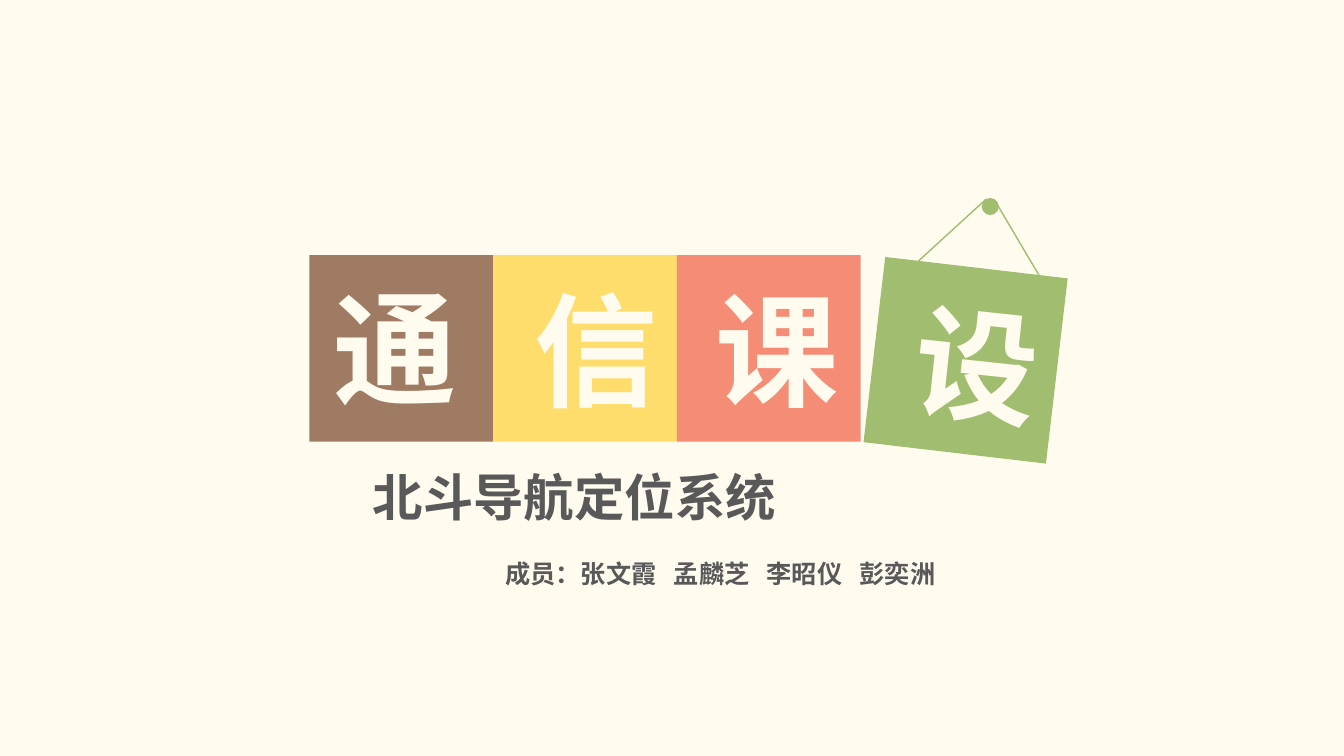
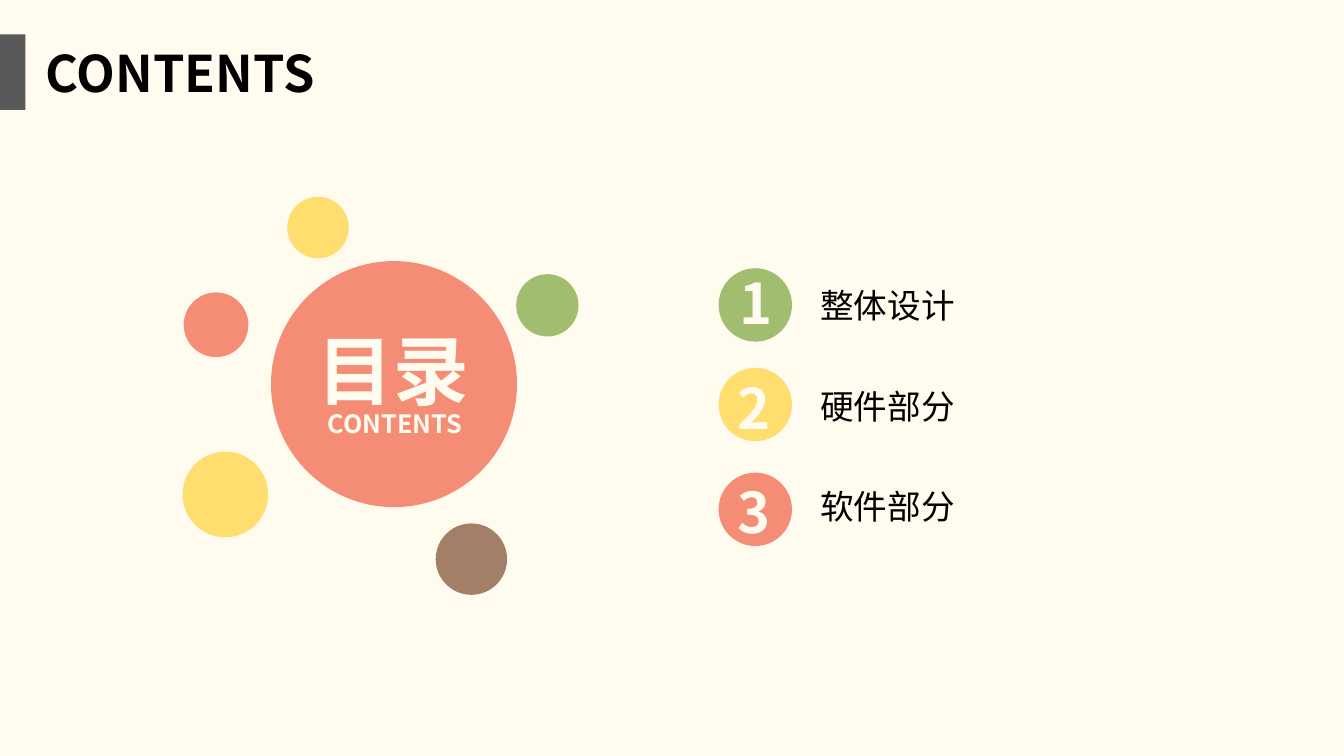
from copy import deepcopy

from lxml import etree
from pptx import Presentation
from pptx.dml.color import RGBColor
from pptx.enum.shapes import MSO_SHAPE
from pptx.enum.text import MSO_ANCHOR, MSO_AUTO_SIZE, PP_ALIGN
from pptx.oxml.ns import qn
from pptx.util import Cm, Pt

RECTANGLE = MSO_SHAPE.RECTANGLE
OVAL = MSO_SHAPE.OVAL
TOP = MSO_ANCHOR.TOP
NO_AUTOFIT = MSO_AUTO_SIZE.NONE
LEFT = PP_ALIGN.LEFT

FONT = "Noto Sans CJK SC"
CREAM, GREY, BLACK = "FFFBEF", "595959", "000000"
BROWN, YELLOW, CORAL, GREEN = "A07B63", "FFDD6C", "F58D76", "A1BD70"
LIGHT_YELLOW, LIGHT_BROWN = "FFDE6F", "A37F67"
color = RGBColor.from_string


def add_block(page, kind, left, top, width, height, fill):
    block = page.shapes.add_shape(kind, Cm(left), Cm(top), Cm(width), Cm(height))
    block.shadow.inherit = False
    block.fill.solid()
    block.fill.fore_color.rgb = color(fill)
    block.line.fill.background()
    return block


def write(box, place, text, size, ink, bold=True, gap=0):
    box.left, box.top, box.width, box.height = [Cm(length) for length in place]
    frame = box.text_frame
    frame.text = text
    frame.word_wrap = True
    frame.auto_size = NO_AUTOFIT
    frame.vertical_anchor = TOP
    for index, para in enumerate(frame.paragraphs):
        para.alignment = LEFT
        para.line_spacing = Pt(size * 1.2)
        para.space_before = Pt(gap if index else 0)
        for span in para.runs:
            span.font.size = Pt(size)
            span.font.bold = bold
            span.font.color.rgb = color(ink)
            span.font.name = FONT
            east_asian = etree.SubElement(span._r.get_or_add_rPr(), qn("a:ea"))
            east_asian.set("typeface", FONT)
    return box


deck = Presentation()
deck.slide_width, deck.slide_height = Cm(33.87), Cm(19.05)
background = deck.slide_master.background.fill
background.solid()
background.fore_color.rgb = color(CREAM)

page = deck.slides.add_slide(deck.slide_layouts[0])
write(page.shapes.title, (9.14, 11.63, 11.5, 1.8), "北斗导航定位系统", 36, GREY)
members = write(page.placeholders[1], (12.48, 13.94, 13, 1.02), "成员：张文霞", 18, GREY)
para = members.text_frame.paragraphs[0]
first_span = para.runs[0]._r
for name in ("孟麟芝", "李昭仪", "彭奕洲"):
    for text, spacing in ((" ", 830), (name, 0)):
        para._p.append(deepcopy(first_span))
        span = para.runs[-1]
        span.text = text
        span._r.get_or_add_rPr().set("spc", str(spacing))

TILE_WIDTH, TILE_HEIGHT = 4.63, 4.7
for column, fill in enumerate((BROWN, YELLOW, CORAL)):
    add_block(page, RECTANGLE, 7.8 + column * TILE_WIDTH, 6.43, TILE_WIDTH, TILE_HEIGHT, fill)
hanging_tile = add_block(page, RECTANGLE, 22.02, 6.73, TILE_WIDTH, TILE_HEIGHT, GREEN)
hanging_tile.rotation = 6.7

for letter, left, top, angle in (
    ("通", 8.15, 6.73, 0),
    ("信", 13.21, 6.78, 0),
    ("课", 17.78, 6.78, 0),
    ("设", 22.83, 7.16, 6.2),
):
    box = page.shapes.add_textbox(0, 0, 0, 0)
    write(box, (left, top, 3.66, 4.01), letter, 88, CREAM)
    box.rotation = angle

add_block(page, OVAL, 24.74, 4.99, 0.43, 0.43, GREEN)
builder = page.shapes.build_freeform(Cm(22.73), Cm(6.96))
builder.add_line_segments(
    [(Cm(x), Cm(y)) for x, y in ((24.84, 5.03), (25.07, 5.05), (26.47, 7.42))], close=False)
string = builder.convert_to_shape()
string.shadow.inherit = False
string.fill.background()
string.line.color.rgb = color(GREEN)
string.line.width = Pt(1)

page = deck.slides.add_slide(deck.slide_layouts[1])
add_block(page, RECTANGLE, 0, 0.87, 0.64, 1.9, GREY)
write(page.shapes.title, (0.89, 0.94, 8, 1.8), "CONTENTS", 36, BLACK)
topics = write(page.placeholders[1], (20.42, 7.06, 6, 6.6),
               "整体设计\n硬件部分\n软件部分", 24, BLACK, bold=False, gap=43)
for para in topics.text_frame.paragraphs:
    properties = para._p.get_or_add_pPr()
    properties.set("marL", "0")
    properties.set("indent", "0")
    etree.SubElement(properties, qn("a:buNone"))

for number, circle_top, left, top, fill in (
    ("1", 6.76, 18.39, 6.63, GREEN),
    ("2", 9.27, 18.34, 9.3, LIGHT_YELLOW),
    ("3", 11.91, 18.34, 11.91, CORAL),
):
    add_block(page, OVAL, 18.11, circle_top, 1.85, 1.85, fill)
    box = page.shapes.add_textbox(0, 0, 0, 0)
    write(box, (left, top, 1.5, 1.96), number, 40, CREAM)

for left, top, diameter, fill in (
    (6.83, 6.58, 6.2, CORAL),
    (4.6, 11.38, 2.16, LIGHT_YELLOW),
    (4.63, 7.37, 1.63, CORAL),
    (7.24, 4.96, 1.55, LIGHT_YELLOW),
    (13.01, 6.91, 1.57, GREEN),
    (10.98, 13.19, 1.8, LIGHT_BROWN),
):
    add_block(page, OVAL, left, top, diameter, diameter, fill)

for text, size, place in (
    ("CONTENTS", 18, (8.01, 10.16, 4.5, 1.02)),
    ("目录", 54, (7.75, 8.05, 4.8, 2.57)),
):
    write(page.shapes.add_textbox(0, 0, 0, 0), place, text, size, CREAM)

deck.save("out.pptx")
